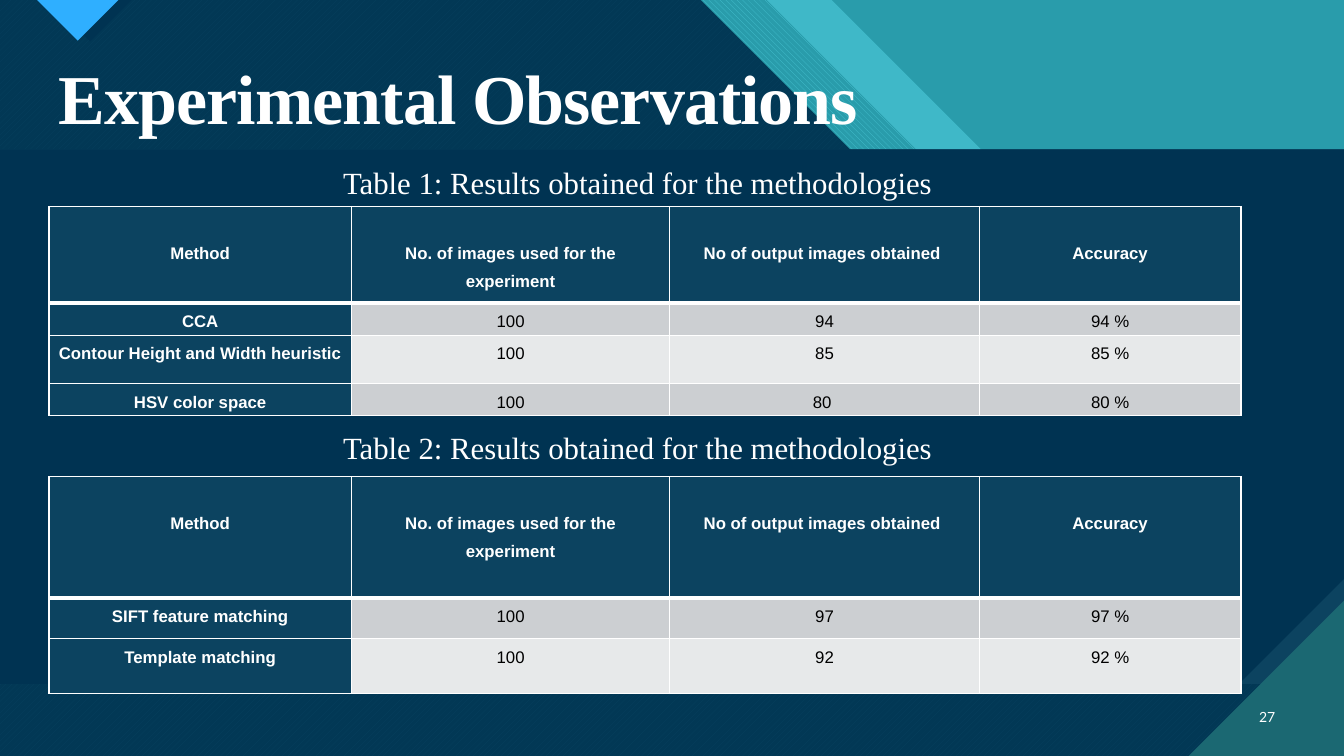
from lxml.etree import SubElement
from pptx import Presentation
from pptx.dml.color import RGBColor
from pptx.enum.dml import MSO_PATTERN
from pptx.enum.shapes import MSO_SHAPE
from pptx.enum.text import MSO_ANCHOR, PP_ALIGN
from pptx.oxml import parse_xml
from pptx.oxml.ns import nsdecls, qn
from pptx.util import Pt

WHITE = RGBColor(0xFF, 0xFF, 0xFF)
BLACK = RGBColor(0, 0, 0)
NAVY = RGBColor(0x00, 0x33, 0x52)
STEEL = RGBColor(0x0C, 0x43, 0x60)
TEAL = RGBColor(0x29, 0x9C, 0xAB)
AQUA = RGBColor(0x47, 0xC3, 0xD3)
PINE = RGBColor(0x1B, 0x68, 0x72)
BLUE = RGBColor(0x2F, 0xAF, 0xFF)
GREY = RGBColor(0xCC, 0xCF, 0xD2)
PALE = RGBColor(0xE7, 0xE9, 0xEA)
WIDTH, HEIGHT = 960, 540

prs = Presentation()
prs.slide_width, prs.slide_height = Pt(WIDTH), Pt(HEIGHT)
slide = prs.slides.add_slide(prs.slide_layouts[6])
slide.background.fill.solid()
slide.background.fill.fore_color.rgb = TEAL


def add_polygon(points, color, opacity=100, pattern=None, back=None):
    corners = [(Pt(x), Pt(y)) for x, y in points]
    builder = slide.shapes.build_freeform(*corners[0], scale=1.0)
    builder.add_line_segments(corners[1:], close=True)
    polygon = builder.convert_to_shape()
    polygon.shadow.inherit = False
    polygon.line.fill.background()
    fill = polygon.fill
    if pattern is None:
        fill.solid()
    else:
        fill.patterned()
        fill.pattern = pattern
        fill.back_color.rgb = back
    fill.fore_color.rgb = color
    if opacity < 100:
        rgb = next(polygon._element.spPr.iter(qn("a:srgbClr")))
        SubElement(rgb, qn("a:alpha")).set("val", str(opacity * 1000))


def add_text(left, top, width, height, text, size, font_name="Times New Roman"):
    box = slide.shapes.add_textbox(Pt(left), Pt(top), Pt(width), Pt(height))
    box.text_frame.word_wrap = True
    paragraph = box.text_frame.paragraphs[0]
    paragraph.text = text
    paragraph.font.size = Pt(size)
    paragraph.font.name = font_name
    paragraph.font.color.rgb = WHITE
    return box.text_frame


# Diagonal layers, each cut at 45 degrees from its own start on the top edge
diagonal_layers = [
    (594, AQUA, 74, None, None),
    (547.5, AQUA, 100, MSO_PATTERN.WIDE_DOWNWARD_DIAGONAL, TEAL),
    (500.5, AQUA, 100, MSO_PATTERN.WIDE_UPWARD_DIAGONAL, PINE),
    (500.5, NAVY, 90, None, None),
]
for start, *style in diagonal_layers:
    add_polygon([(0, 0), (start, 0), (WIDTH, WIDTH - start),
                 (WIDTH, HEIGHT), (0, HEIGHT)], *style)

# Marker at the top left, with its dark offset
add_polygon([(34.5, 0), (94, 0), (64.5, 29.5)], NAVY)
add_polygon([(26.5, 0), (84.5, 0), (55.5, 29)], BLUE)

# Content panel with a cut lower right corner
panel_top, panel_bottom, panel_cut = 106.75, 488.5, 75
band = slide.shapes.add_shape(MSO_SHAPE.RECTANGLE, 0, Pt(panel_top),
                              Pt(WIDTH), Pt(panel_bottom - panel_top))
band.shadow.inherit = False
band.fill.solid()
band.fill.fore_color.rgb = STEEL
band.line.fill.background()
add_polygon([(0, panel_top), (WIDTH, panel_top), (WIDTH, panel_bottom - panel_cut),
             (WIDTH - panel_cut, panel_bottom), (0, panel_bottom)], NAVY)
add_polygon([(849, HEIGHT), (WIDTH, HEIGHT), (WIDTH, 429)], PINE)

# Slide number and title
number = add_text(886.5, 497.5, 31.5, 29, "27", 10, "Lato")
number.vertical_anchor = MSO_ANCHOR.MIDDLE
number.paragraphs[0].alignment = PP_ALIGN.RIGHT

title = add_text(35, 42.5, 883, 62, "Experimental Observations", 50).paragraphs[0]
title.font.bold = True
title.line_spacing = 0.9
title.runs[0]._r.get_or_add_rPr().set("spc", "-70")

# Result tables with their captions
headers = ["Method", "No. of images used for the experiment",
           "No of output images obtained ", "Accuracy"]
column_widths = [216, 227.5, 221, 187]
results = [
    ("Table 1", 113.5, 147.5, [69, 23, 34.5, 23], [
        ("CCA", "100", "94", "94 %"),
        ("Contour Height and Width heuristic", "100", "85", "85 %"),
        ("HSV color space", "100", "80 ", "80 %")]),
    ("Table 2", 302.5, 340.5, [86.5, 29, 39.5], [
        ("SIFT feature matching", "100", "97", "97 %"),
        ("Template matching", "100", "92", "92 %")]),
]
for label, caption_top, table_top, row_heights, methods in results:
    add_text(238, caption_top, 443.5, 34,
             f"{label}: Results obtained for the methodologies", 22)
    table = slide.shapes.add_table(
        len(row_heights), len(headers), Pt(35), Pt(table_top),
        Pt(sum(column_widths)), Pt(sum(row_heights))).table
    table.horz_banding = False
    for column, width in zip(table.columns, column_widths):
        column.width = Pt(width)
    for r, (height, values) in enumerate(zip(row_heights, [headers, *methods])):
        table.rows[r].height = Pt(height)
        for c, value in enumerate(values):
            cell = table.cell(r, c)
            is_heading = r == 0 or c == 0
            cell.margin_left = cell.margin_right = Pt(5)
            cell.margin_top = Pt(20 if r == 0 else 0)
            cell.margin_bottom = 0

            # The rule under the header row is thicker
            for side in "LRTB":
                thick = (r, side) in [(0, "B"), (1, "T")]
                cell._tc.get_or_add_tcPr().append(parse_xml(
                    f'<a:ln{side} {nsdecls("a")} w="{Pt(3 if thick else 1)}">'
                    f'<a:solidFill><a:srgbClr val="{WHITE}"/></a:solidFill></a:ln{side}>'))
            cell.fill.solid()
            cell.fill.fore_color.rgb = STEEL if is_heading else (GREY if r % 2 else PALE)

            paragraph = cell.text_frame.paragraphs[0]
            paragraph.text = value
            paragraph.alignment = PP_ALIGN.CENTER
            paragraph.line_spacing = 1.5
            paragraph.font.name = "Arial"
            paragraph.font.size = Pt(12)
            paragraph.font.bold = is_heading
            paragraph.font.color.rgb = WHITE if is_heading else BLACK

prs.save("out.pptx")
